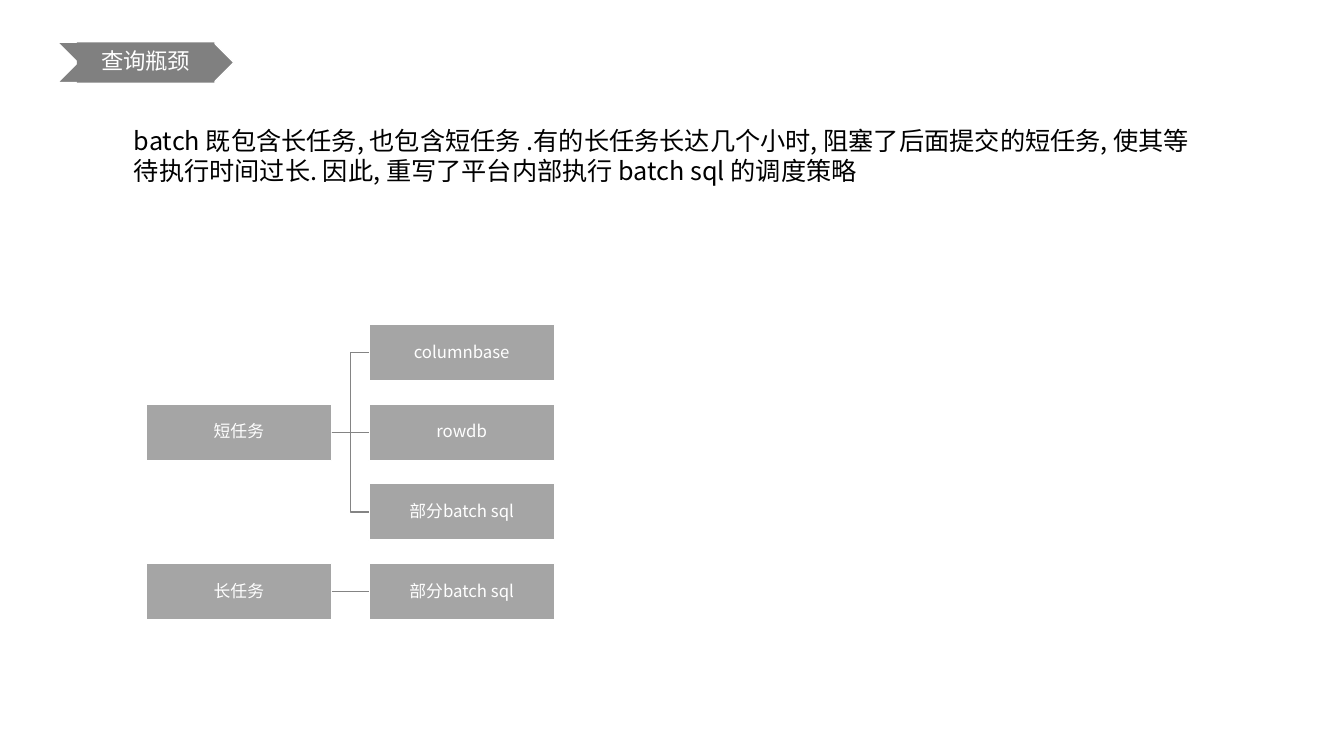
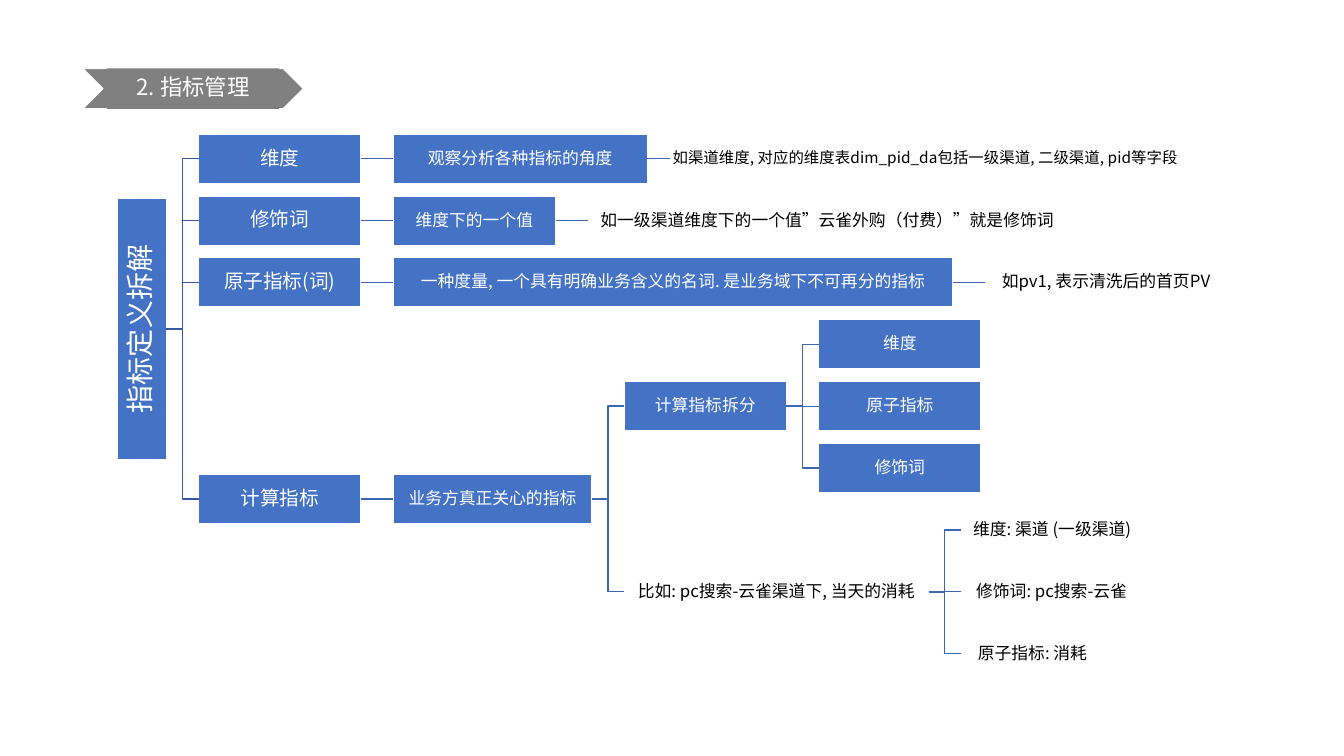
from dataclasses import dataclass
from itertools import count

from lxml import etree
from pptx import Presentation
from pptx.dml.color import RGBColor
from pptx.enum.shapes import MSO_CONNECTOR as LINK, MSO_SHAPE as SHAPE
from pptx.enum.text import MSO_ANCHOR, MSO_AUTO_SIZE, PP_ALIGN
from pptx.oxml.ns import qn
from pptx.util import Inches, Pt

FONT = "Noto Sans CJK SC"
WHITE = RGBColor(0xFF, 0xFF, 0xFF)
BLACK = RGBColor(0x00, 0x00, 0x00)
DARK = RGBColor(0x80, 0x80, 0x80)
GREY = RGBColor(0xA5, 0xA5, 0xA5)
GREY_LINK = RGBColor(0x84, 0x84, 0x84)
BLUE = RGBColor(0x44, 0x72, 0xC4)
BLUE_LINK = RGBColor(0x3E, 0x67, 0xB2)
ROOT_LINK = RGBColor(0x36, 0x5B, 0x9D)


@dataclass
class Node:
    text: str
    width: float
    kids: tuple = ()
    size: int = 12
    plain: bool = False
    gap: float = 0
    tall: float = 0
    link: RGBColor = None


@dataclass
class Look:
    """Row step, box height, column gap and colours of a tree."""
    pitch: float
    high: float
    gap: float
    fill: RGBColor
    link: RGBColor


def write(frame, text, size, color):
    frame.text = text
    frame.word_wrap = True
    for run in frame.paragraphs[0].runs:
        font = run.font
        font.name, font.size = FONT, Pt(size)
        font.color.rgb = color
        east = etree.SubElement(run._r.get_or_add_rPr(), qn("a:ea"))
        east.set("typeface", FONT)


def block(slide, kind, x, y, w, h, fill, edge=True):
    shape = slide.shapes.add_shape(kind, Inches(x), Inches(y), Inches(w), Inches(h))
    shape.shadow.inherit = False
    shape.fill.solid()
    shape.fill.fore_color.rgb = fill
    if edge:
        shape.line.color.rgb = WHITE
        shape.line.width = Pt(1)
    else:
        shape.line.fill.background()
    return shape


def label(shape, text, size, color):
    frame = shape.text_frame
    write(frame, text, size, color)
    frame.vertical_anchor = MSO_ANCHOR.MIDDLE
    frame.margin_left = frame.margin_right = Inches(0.01)
    frame.margin_top = frame.margin_bottom = Inches(0.01)
    para = frame.paragraphs[0]
    para.alignment = PP_ALIGN.CENTER
    para.line_spacing = 0.9


def header(slide, x, y, w, text):
    high = 0.4
    block(slide, SHAPE.CHEVRON, x, y, w, high, DARK)
    band = block(slide, SHAPE.RECTANGLE, x + 0.11 * w, y, 0.78 * w, high, DARK, edge=False)
    label(band, text, 16, WHITE)


def join(slide, start, end, level, color):
    kind = LINK.STRAIGHT if level else LINK.ELBOW
    line = slide.shapes.add_connector(kind, 0, 0, 0, 0)
    line.begin_connect(start, 3)
    line.end_connect(end, 1)
    line.line.color.rgb = color
    line.line.width = Pt(1)
    etree.SubElement(line._element.spPr, qn("a:effectLst"))


def branch(slide, node, x, y, look, rows):
    """Draw a node and its kids; return its shape and row."""
    right = x + node.width
    kids = [branch(slide, kid, right + (kid.gap or look.gap), y, look, rows)
            for kid in node.kids]
    row = (kids[0][1] + kids[-1][1]) / 2 if kids else next(rows)
    high = node.tall or look.high
    top = y + row * look.pitch + (look.high - high) / 2
    fill, color = (WHITE, BLACK) if node.plain else (look.fill, WHITE)
    box = block(slide, SHAPE.RECTANGLE, x, top, node.width, high, fill)
    label(box, node.text, node.size, color)
    if node.tall:
        box.text_frame._txBody.bodyPr.set("vert", "vert270")
    for kid, place in kids:
        join(slide, box, kid, place == row, node.link or look.link)
    return box, row


def tree(slide, x, y, roots, look):
    rows = count()
    for root in roots:
        branch(slide, root, x, y, look, rows)


def query(slide):
    header(slide, 0.57, 0.42, 1.75, "查询瓶颈")
    body = slide.shapes.add_textbox(Inches(1.23), Inches(1.19), Inches(10.87), Inches(0.71))
    write(body.text_frame, "batch 既包含长任务, 也包含短任务 .有的长任务长达几个小时, "
          "阻塞了后面提交的短任务, 使其等待执行时间过长. 因此, "
          "重写了平台内部执行 batch sql 的调度策略", 18, BLACK)
    body.text_frame.auto_size = MSO_AUTO_SIZE.SHAPE_TO_FIT_TEXT
    wide = 1.84
    short = tuple(Node(text, wide) for text in ("columnbase", "rowdb", "部分batch sql"))
    roots = (Node("短任务", wide, short),
             Node("长任务", wide, (Node("部分batch sql", wide),)))
    tree(slide, 1.45, 3.22, roots, Look(0.79, 0.56, 0.37, GREY, GREY_LINK))


def metric(slide):
    header(slide, 0.82, 0.68, 2.19, "2. 指标管理")
    wide = 1.61

    def note(text, width, **more):
        return Node(text, width, plain=True, **more)

    def topic(text, kid):
        return Node(text, wide, (kid,), size=14)

    parts = tuple(Node(text, wide) for text in ("维度", "原子指标", "修饰词"))
    cases = (note("维度: 渠道 (一级渠道)", 1.81),
             note("修饰词: pc搜索-云雀", 1.8),
             note("原子指标: 消耗", 1.42))
    topics = (
        topic("维度", Node("观察分析各种指标的角度", 2.52, (
            note("如渠道维度, 对应的维度表dim_pid_da包括一级渠道, 二级渠道, pid等字段",
                 5.05, size=11, gap=0.23),))),
        topic("修饰词", Node("维度下的一个值", wide, (
            note("如一级渠道维度下的一个值”云雀外购（付费）”就是修饰词", 4.75),))),
        topic("原子指标(词)", Node(
            "一种度量, 一个具有明确业务含义的名词. 是业务域下不可再分的指标", 5.55,
            (note("如pv1, 表示清洗后的首页PV", 2.4),))),
        topic("计算指标", Node("业务方真正关心的指标", 1.97, (
            Node("计算指标拆分", wide, parts),
            note("比如: pc搜索-云雀渠道下, 当天的消耗", 3.02, kids=cases)))),
    )
    root = Node("指标定义拆解", 0.49, topics, size=20, tall=2.59, link=ROOT_LINK)
    tree(slide, 1.16, 1.33, (root,), Look(4.91 / 8, 0.49, 0.32, BLUE, BLUE_LINK))


def main():
    deck = Presentation()
    deck.slide_width, deck.slide_height = Inches(13.33), Inches(7.5)
    for fill in (query, metric):
        fill(deck.slides.add_slide(deck.slide_layouts[6]))
    deck.save("out.pptx")


if __name__ == "__main__":
    main()
